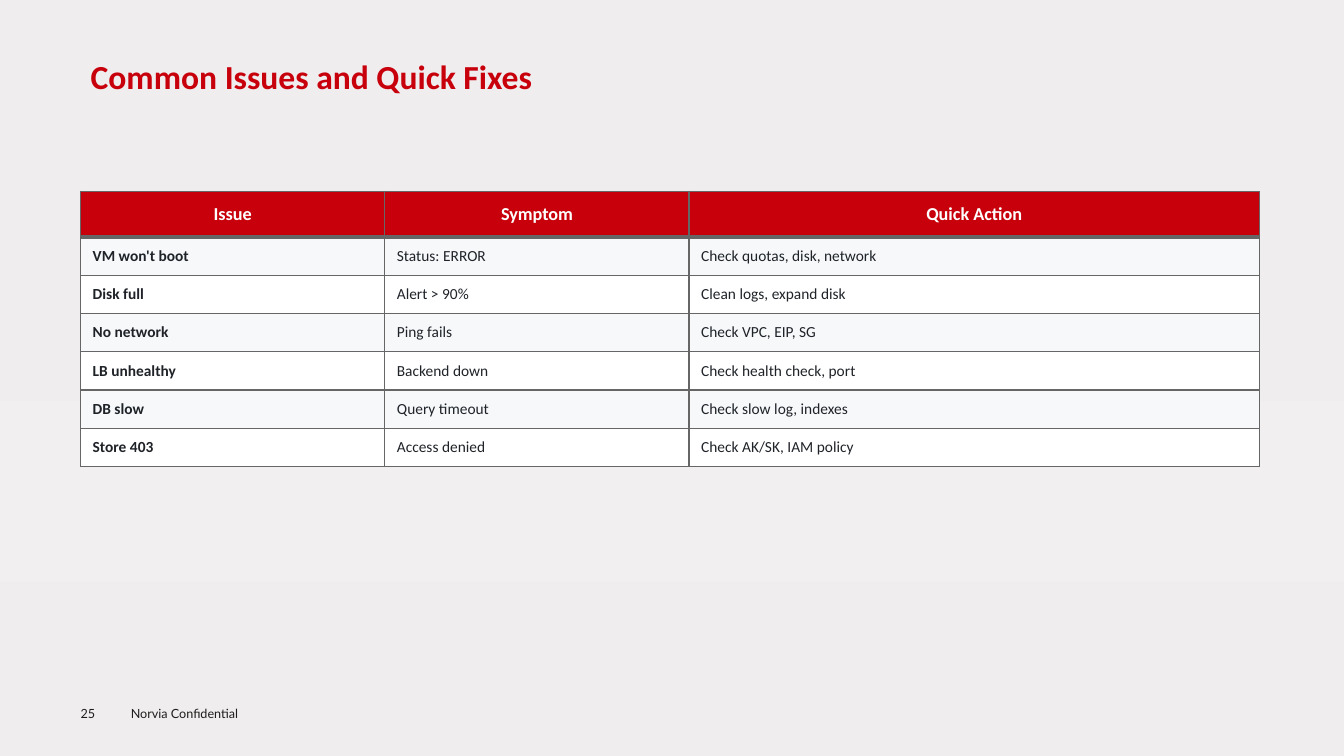
from lxml import etree
from pptx import Presentation
from pptx.dml.color import RGBColor
from pptx.enum import text as t
from pptx.oxml.ns import qn
from pptx.util import Pt

HUES = {"red": "C7000B", "white": "FFFFFF", "pale": "F6F8FA",
        "ink": "1F2328", "foot": "1D1D1B", "rule": "666666"}
BACK = [(0, "EFEDEE"), (53, "F1EFF0"), (77, "EFEDEE"), (100, "EFEBEC")]
LEFT = 57.6
COLS = [217.44, 217.44, 407.52]
HEAD = ["Issue", "Symptom", "Quick Action"]
ROWS = [
    ["VM won't boot", "Status: ERROR", "Check quotas, disk, network"],
    ["Disk full", "Alert > 90%", "Clean logs, expand disk"],
    ["No network", "Ping fails", "Check VPC, EIP, SG"],
    ["LB unhealthy", "Backend down", "Check health check, port"],
    ["DB slow", "Query timeout", "Check slow log, indexes"],
    ["Store 403", "Access denied", "Check AK/SK, IAM policy"],
]


def color(name):
    return RGBColor.from_string(HUES[name])


def write(frame, words, size=11, hue="ink", bold=False, font="Calibri",
          align=t.PP_ALIGN.LEFT, space=None):
    para = frame.paragraphs[0]
    para.alignment = align
    para.line_spacing = space
    run = para.add_run()
    run.text = words
    run.font.name, run.font.size, run.font.bold = font, Pt(size), bold
    run.font.color.rgb = color(hue)


class Page:
    def __init__(self, deck):
        self.slide = deck.slides.add_slide(deck.slide_layouts[5])

    def back(self, stops):
        """Fill the background from top to bottom with the given stops."""
        fill = self.slide.background.fill
        fill.gradient()
        fill.gradient_angle = 270
        stack = next(self.slide.element.iter(qn("a:gsLst")))
        for old in list(stack):
            stack.remove(old)
        for place, tone in stops:
            stop = etree.SubElement(stack, qn("a:gs"), pos=str(place * 1000))
            etree.SubElement(stop, qn("a:srgbClr"), val=tone)

    def title(self, words):
        box = self.slide.shapes.title
        box.left, box.top = Pt(LEFT), Pt(36)
        box.width, box.height = Pt(sum(COLS)), Pt(39.6)
        box.text_frame.vertical_anchor = t.MSO_ANCHOR.MIDDLE
        write(box.text_frame, words, size=24, hue="red", bold=True, space=0.9)

    def label(self, words, left, top, width, height, pad):
        box = self.slide.shapes.add_textbox(
            Pt(left), Pt(top), Pt(width), Pt(height))
        frame = box.text_frame
        frame.word_wrap = True
        frame.margin_left = frame.margin_right = Pt(pad)
        frame.margin_top = frame.margin_bottom = Pt(pad / 2)
        write(frame, words, size=9, hue="foot", font="Lato")

    def edge(self, cell, **widths):
        """Draw the cell's borders; they must come before its fill."""
        props = cell._tc.get_or_add_tcPr()
        for spot, side in enumerate("LRTB"):
            line = etree.Element(qn("a:ln" + side),
                                 w=str(Pt(widths.get(side, 1))))
            fill = etree.SubElement(line, qn("a:solidFill"))
            etree.SubElement(fill, qn("a:srgbClr"), val=HUES["rule"])
            props.insert(spot, line)

    def cell(self, cell, words, fill, pad, **style):
        cell.fill.solid()
        cell.fill.fore_color.rgb = color(fill)
        cell.vertical_anchor = t.MSO_ANCHOR.MIDDLE
        cell.margin_left = cell.margin_right = Pt(8.64)
        cell.margin_top = cell.margin_bottom = Pt(pad)
        write(cell.text_frame, words, **style)

    def table(self, head, rows, top, tall, step):
        high = tall + step * len(rows)
        grid = self.slide.shapes.add_table(
            len(rows) + 1, len(head), Pt(LEFT), Pt(top),
            Pt(sum(COLS)), Pt(high)).table
        for col, width in zip(grid.columns, COLS):
            col.width = Pt(width)
        for r, row in enumerate([head] + rows):
            grid.rows[r].height = Pt(step if r else tall)
            for c, words in enumerate(row):
                cell = grid.cell(r, c)
                if r == 0:
                    self.cell(cell, words, "red", 2.88, size=13, hue="white",
                              bold=True, align=t.PP_ALIGN.CENTER)
                    self.edge(cell, B=3)
                else:
                    self.cell(cell, words, "pale" if r % 2 else "white", 2.16,
                              bold=c == 0)
                    self.edge(cell, T=3 if r == 1 else 1)


def main():
    deck = Presentation()
    deck.slide_width, deck.slide_height = Pt(960.48), Pt(540)
    page = Page(deck)
    page.back(BACK)
    page.label("Norvia Confidential", 86.4, 500.4, 275.76, 18, 7.2)
    page.label("25", LEFT, 504, 39.6, 10.8, 0)
    page.title("Common Issues and Quick Fixes")
    page.table(HEAD, ROWS, 136.8, 32.4, 27.36)
    deck.save("out.pptx")


if __name__ == "__main__":
    main()
